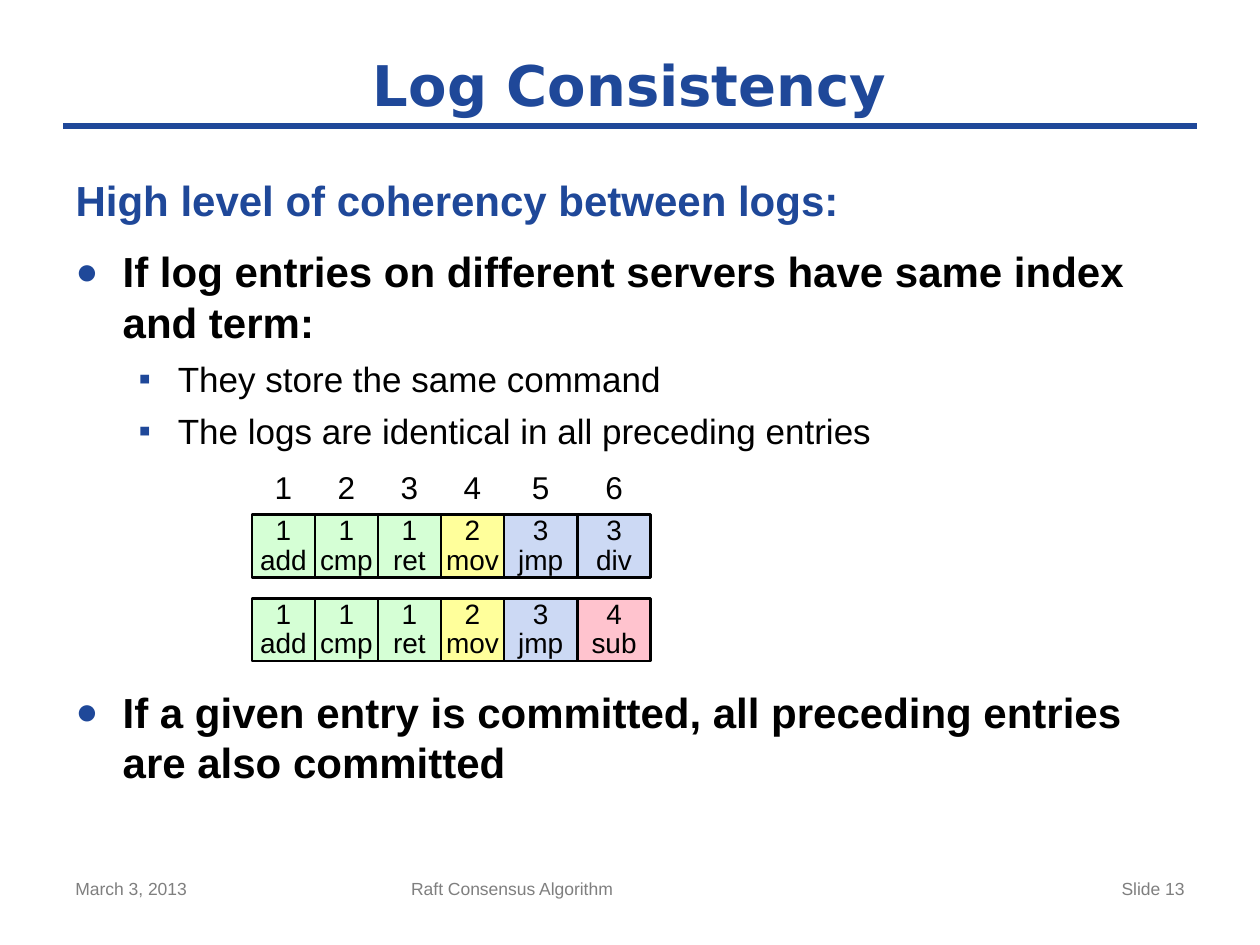
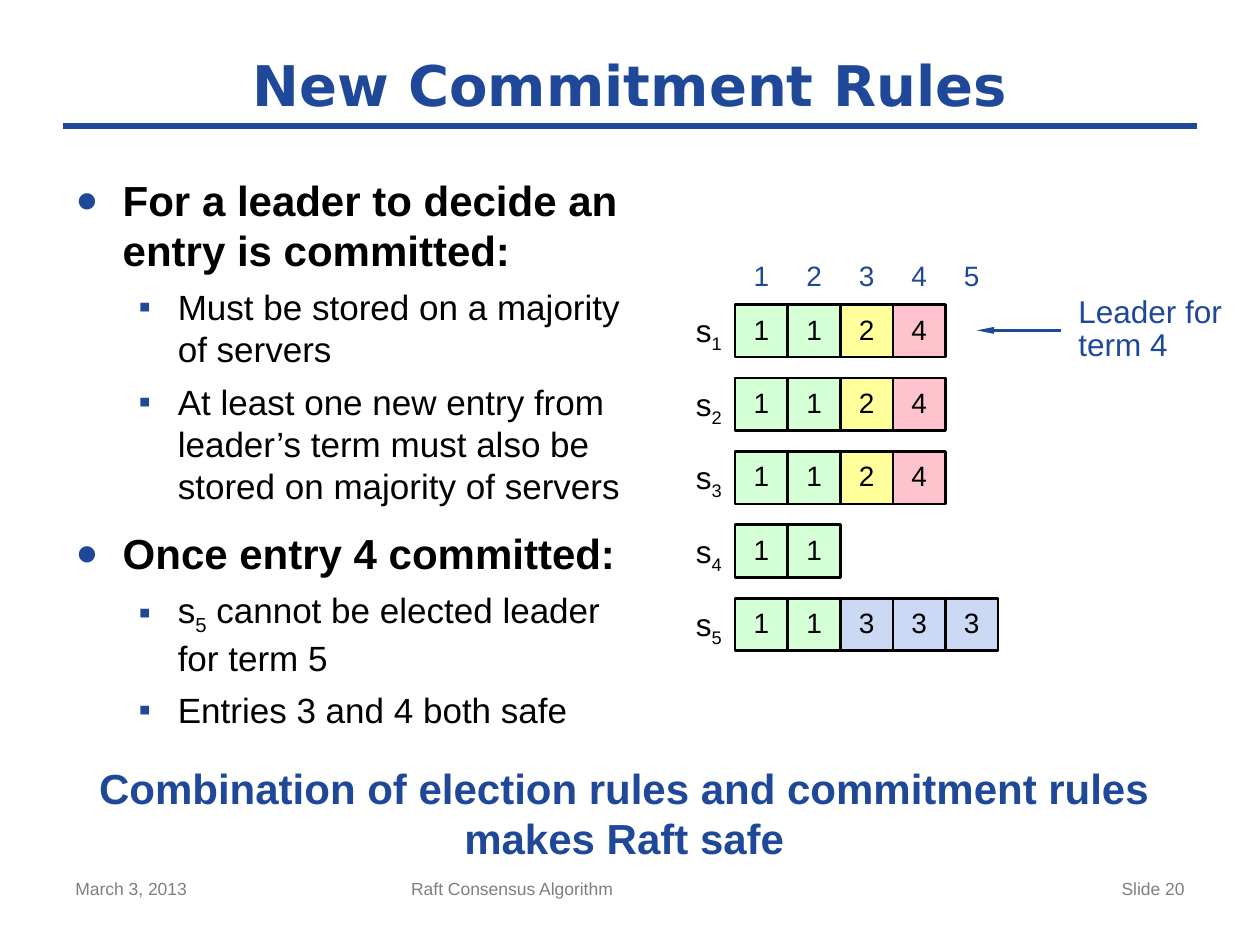
from dataclasses import dataclass

from lxml import etree
from pptx import Presentation
from pptx import util as u
from pptx.dml.color import RGBColor
from pptx.enum import shapes, text
from pptx.oxml import ns

Cm, Pt = u.Cm, u.Pt


@dataclass(frozen=True)
class Theme:
    """Colours, fonts and type sizes of the deck."""
    blue: str = "1F4899"
    black: str = "000000"
    gray: str = "7F7F7F"
    terms: tuple = ("D5FFD5", "FFFF9B", "CCD9F4", "FFC3CE")
    font: str = "Arial"
    head: str = "DejaVu Sans"
    title: int = 32
    main: int = 24
    sub: int = 20
    label: int = 18
    cell: int = 16
    foot: int = 10


T = Theme()
MID, LEFT, RIGHT = text.PP_ALIGN.CENTER, text.PP_ALIGN.LEFT, text.PP_ALIGN.RIGHT


def write(para, words, size, color, bold=False, font=T.font):
    """Add runs to a paragraph; a newline breaks, underscores enclose a subscript."""
    for row, line in enumerate(words.split("\n")):
        if row:
            para.add_line_break()
        for i, part in enumerate(line.split("_")):
            if not part:
                continue
            run = para.add_run()
            run.text = part
            run.font.size, run.font.bold, run.font.name = Pt(size), bold, font
            run.font.color.rgb = RGBColor.from_string(color)
            if i % 2:
                run.font._element.set("baseline", "-25000")


def box(slide, area, words, size, color=T.black, fill=None, align=MID,
        tight=False, lead=None, bold=False):
    """Add a text box, or a bordered cell if a fill is given; area is in cm."""
    area = [Cm(v) for v in area]
    if fill:
        item = slide.shapes.add_shape(shapes.MSO_SHAPE.RECTANGLE, *area)
        item.shadow.inherit = False
        item.fill.solid()
        item.fill.fore_color.rgb = RGBColor.from_string(fill)
        item.line.color.rgb = RGBColor.from_string(T.black)
        item.line.width = Pt(1.5)
    else:
        item = slide.shapes.add_textbox(*area)
    frame = item.text_frame
    frame.word_wrap = True
    if fill:
        frame.vertical_anchor = text.MSO_ANCHOR.MIDDLE
    if fill or tight:
        frame.margin_left = frame.margin_right = 0
        frame.margin_top = frame.margin_bottom = 0
    para = frame.paragraphs[0]
    para.alignment = align
    if lead:
        para.line_spacing = Pt(lead)
    write(para, words, size, color, bold)
    return item


# Each list entry: kind, text, space before in points
pages = [
    dict(title="Log Consistency", num=13, head=(1.27, 22.86), body=(22.86, 8.47), items=[
        ("lead", "High level of coherency between logs:", 12),
        ("main", "If log entries on different servers have same index and term:", 12),
        ("sub", "They store the same command", 6),
        ("sub", "The logs are identical in all preceding entries", 6),
        ("main", "If a given entry is committed, all preceding entries "
                 "are also committed", 134),
    ]),
    dict(title="New Commitment Rules", num=20, head=(0.85, 23.7), body=(11.85, 11.85), items=[
        ("main", "For a leader to decide an entry is committed:", 12),
        ("sub", "Must be stored on a majority of servers", 6),
        ("sub", "At least one new entry from leader\u2019s term must also be "
                "stored on majority of servers", 6),
        ("main", "Once entry 4 committed:", 12),
        ("sub", "s_5_ cannot be elected leader for term 5", 6),
        ("sub", "Entries 3 and 4 both safe", 6),
    ]),
]
# Kind: level, left margin, hanging indent (cm), bullet, bullet %, size, colour, bold
kinds = {
    "lead": (0, 0, 0, None, 100, T.main, T.blue, True),
    "main": (0, 0.95, -0.95, "\u25cf", 90, T.main, T.black, True),
    "sub": (1, 2.06, -0.79, "\u25aa", 100, T.sub, T.black, False),
}

deck = Presentation()
deck.slide_width, deck.slide_height = Cm(25.4), Cm(19.05)
slides = []

# Shared frame and list of every slide
for page in pages:
    slide = deck.slides.add_slide(deck.slide_layouts[1])
    slides.append(slide)
    rule = slide.shapes.add_connector(
        shapes.MSO_CONNECTOR.STRAIGHT, Cm(1.27), Cm(2.54), Cm(24.13), Cm(2.54))
    rule.line.color.rgb = RGBColor.from_string(T.blue)
    rule.line.width = Pt(4)
    etree.SubElement(rule._element.spPr, ns.qn("a:effectLst"))

    title, body = slide.placeholders
    left, width = page["head"]
    title.left, title.top, title.width, title.height = Cm(left), Cm(0.85), Cm(width), Cm(1.69)
    body.left, body.top = Cm(1.27), Cm(3.39)
    body.width, body.height = [Cm(v) for v in page["body"]]
    for item, anchor in ((title, "MIDDLE"), (body, "TOP")):
        item.text_frame.word_wrap = True
        item.text_frame.auto_size = text.MSO_AUTO_SIZE.NONE
        item.text_frame.vertical_anchor = text.MSO_ANCHOR[anchor]
    para = title.text_frame.paragraphs[0]
    para.alignment = MID
    write(para, page["title"], T.title, T.blue, True, T.head)

    for i, (kind, words, gap) in enumerate(page["items"]):
        level, left, hang, mark, scale, size, color, bold = kinds[kind]
        frame = body.text_frame
        para = frame.add_paragraph() if i else frame.paragraphs[0]
        para.level, para.space_before = level, Pt(gap)
        props = para._p.get_or_add_pPr()
        props.set("marL", str(Cm(left)))
        props.set("indent", str(Cm(hang)))
        if mark:
            tint = etree.SubElement(props, ns.qn("a:buClr"))
            etree.SubElement(tint, ns.qn("a:srgbClr"), val=T.blue)
            etree.SubElement(props, ns.qn("a:buSzPct"), val=str(scale * 1000))
            etree.SubElement(props, ns.qn("a:buFont"), typeface=T.font)
            etree.SubElement(props, ns.qn("a:buChar"), char=mark)
        else:
            etree.SubElement(props, ns.qn("a:buNone"))
        write(para, words, size, color, bold)

    for left, width, words, align in (
            (1.27, 5.93, "March 3, 2013", LEFT),
            (8.04, 9.53, "Raft Consensus Algorithm", LEFT),
            (18.2, 5.93, f"Slide {page['num']}", RIGHT)):
        box(slide, (left, 17.57, width, 1.09), words, T.foot, T.gray, align=align)

logs, rules = slides

# Two logs that differ in the last entry
start = ["1 add", "1 cmp", "1 ret", "2 mov", "3 jmp"]
widths = [1.27] * 4 + [1.48] * 2
for row, last in enumerate(("3 div", "4 sub")):
    left = 5.08
    for col, (entry, width) in enumerate(zip(start + [last], widths)):
        if row == 0:
            box(logs, (left, 9.31, width, 1.03), str(col + 1), T.label)
        box(logs, (left, 10.37 + 1.69 * row, width, 1.27), entry.replace(" ", "\n"),
            T.cell, fill=T.terms[int(entry[0]) - 1], lead=17)
        left += width

# Logs of five servers
side, left, top = 1.06, 14.82, 6.14
for col in range(5):
    box(rules, (left + side * col, 5.08, side, 0.94), str(col + 1), T.cell, T.blue)
for row, log in enumerate(("1124", "1124", "1124", "11", "11333")):
    y = top + 1.48 * row
    box(rules, (left - side, y + 0.14, side, 0.76), f"s_{row + 1}_", T.label, tight=True)
    for col, term in enumerate(log):
        box(rules, (left + side * col, y, side, side), term, T.cell,
            fill=T.terms[int(term) - 1], lead=17)

box(rules, (21.74, 5.98, 3.6, 1.35), "Leader for\nterm 4", T.label, T.blue,
    align=LEFT, tight=True, lead=19)
arrow = rules.shapes.add_connector(
    shapes.MSO_CONNECTOR.STRAIGHT, Cm(21.38), Cm(6.66), Cm(19.69), Cm(6.66))
arrow.line.color.rgb = RGBColor.from_string(T.blue)
arrow.line.width = Pt(1.5)
etree.SubElement(arrow.line._get_or_add_ln(), ns.qn("a:tailEnd"),
                 type="triangle", w="sm", len="lg")
etree.SubElement(arrow._element.spPr, ns.qn("a:effectLst"))

close = box(rules, (1.65, 15.24, 21.87, 2.31),
            "Combination of election rules and commitment rules\nmakes Raft safe",
            T.main, T.blue, bold=True)
close.text_frame.word_wrap = False
close.text_frame.auto_size = text.MSO_AUTO_SIZE.SHAPE_TO_FIT_TEXT

deck.save("out.pptx")
